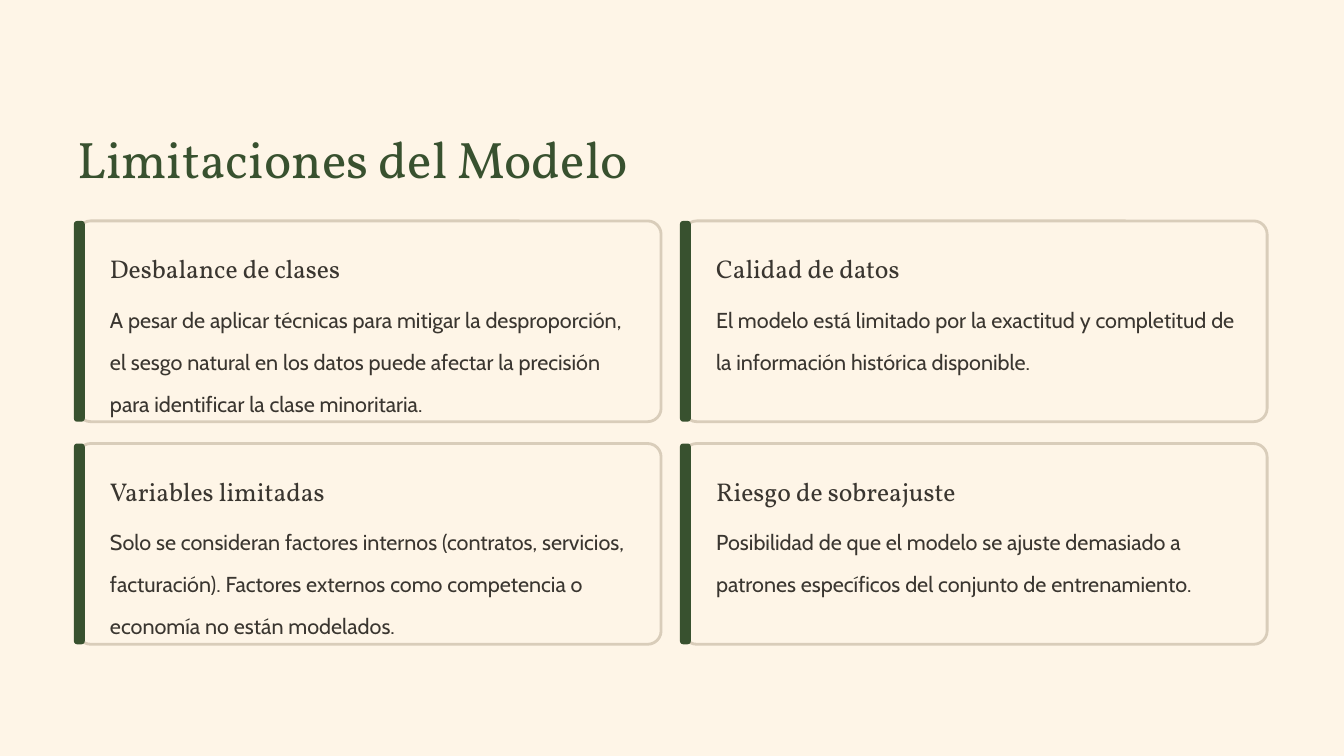
from pptx import Presentation, util as u
from pptx.dml.color import RGBColor
from pptx.enum import shapes, text

COLORS = {"cream": "FEF5E7", "green": "38512F", "border": "D9CDBA", "ink": "3A3630"}
HEADING_FONT = "Vollkorn"
BODY_FONT = "Cabin"

CARDS = [
    ("Desbalance de clases",
     "A pesar de aplicar técnicas para mitigar la desproporción, el sesgo natural en los datos "
     "puede afectar la precisión para identificar la clase minoritaria."),
    ("Calidad de datos",
     "El modelo está limitado por la exactitud y completitud de la información histórica disponible."),
    ("Variables limitadas",
     "Solo se consideran factores internos (contratos, servicios, facturación). Factores externos "
     "como competencia o economía no están modelados."),
    ("Riesgo de sobreajuste",
     "Posibilidad de que el modelo se ajuste demasiado a patrones específicos del conjunto de "
     "entrenamiento."),
]
COLUMNS = 2
CARD_LEFT, CARD_TOP = 0.92, 2.63
CARD_WIDTH, CARD_HEIGHT = 6.95, 2.39
COLUMN_STEP, ROW_STEP = 7.215, 2.65


def color(name):
    return RGBColor.from_string(COLORS[name])


def write(frame, content, *, font, size, fill, spacing):
    frame.margin_left = frame.margin_right = frame.margin_top = frame.margin_bottom = 0
    frame.word_wrap = True
    frame.auto_size = text.MSO_AUTO_SIZE.NONE
    frame.vertical_anchor = text.MSO_ANCHOR.TOP
    paragraph = frame.paragraphs[0]
    paragraph.text = content
    paragraph.alignment = text.PP_ALIGN.LEFT
    paragraph.line_spacing = spacing
    paragraph.font.name = font
    paragraph.font.size = u.Pt(size)
    paragraph.font.color.rgb = color(fill)


class SlideBuilder:
    def __init__(self, presentation):
        self.slide = presentation.slides.add_slide(presentation.slide_layouts[5])
        background = self.slide.background.fill
        background.solid()
        background.fore_color.rgb = color("cream")

    def title(self, content, left, top, width, height):
        title = self.slide.shapes.title
        title.left, title.top = u.Inches(left), u.Inches(top)
        title.width, title.height = u.Inches(width), u.Inches(height)
        write(title.text_frame, content, font=HEADING_FONT, size=44, fill="green", spacing=1.25)

    def text_box(self, content, left, top, width, height, **style):
        box = self.slide.shapes.add_textbox(
            u.Inches(left), u.Inches(top), u.Inches(width), u.Inches(height))
        write(box.text_frame, content, **style)

    def rounded(self, left, top, width, height, radius, fill, line=None):
        shape = self.slide.shapes.add_shape(
            shapes.MSO_SHAPE.ROUNDED_RECTANGLE,
            u.Inches(left), u.Inches(top), u.Inches(width), u.Inches(height))
        shape.shadow.inherit = False
        shape.adjustments[0] = radius
        shape.fill.solid()
        shape.fill.fore_color.rgb = color(fill)
        if line:
            shape.line.color.rgb = color(line)
            shape.line.width = u.Pt(2.4)
        else:
            shape.line.fill.background()

    def card(self, heading, body, left, top):
        self.rounded(left, top, CARD_WIDTH, CARD_HEIGHT, 0.067, "cream", "border")
        self.rounded(left - 0.04, top, 0.13, CARD_HEIGHT, 0.295, "green")
        self.text_box(heading, left + 0.39, top + 0.29, 3.1, 0.38,
                      font=HEADING_FONT, size=22, fill="ink", spacing=1.25)
        self.text_box(body, left + 0.39, top + 0.83, 6.26, 1.26,
                      font=BODY_FONT, size=18.5, fill="ink", spacing=1.62)


def main():
    presentation = Presentation()
    presentation.slide_width = u.Inches(16)
    presentation.slide_height = u.Inches(9)
    builder = SlideBuilder(presentation)
    builder.title("Limitaciones del Modelo", 0.92, 1.33, 7.02, 0.77)
    for index, (heading, body) in enumerate(CARDS):
        row, column = divmod(index, COLUMNS)
        builder.card(heading, body, CARD_LEFT + column * COLUMN_STEP, CARD_TOP + row * ROW_STEP)
    presentation.save("out.pptx")


if __name__ == "__main__":
    main()
